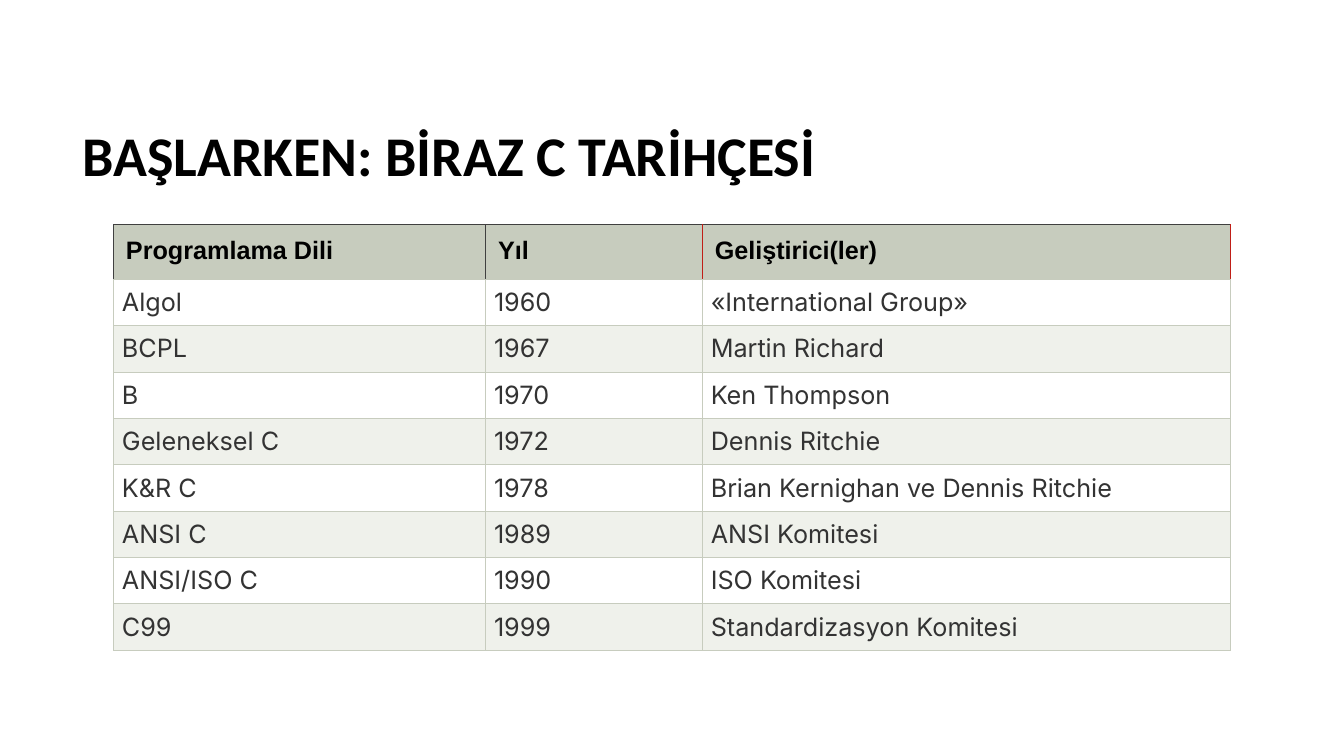
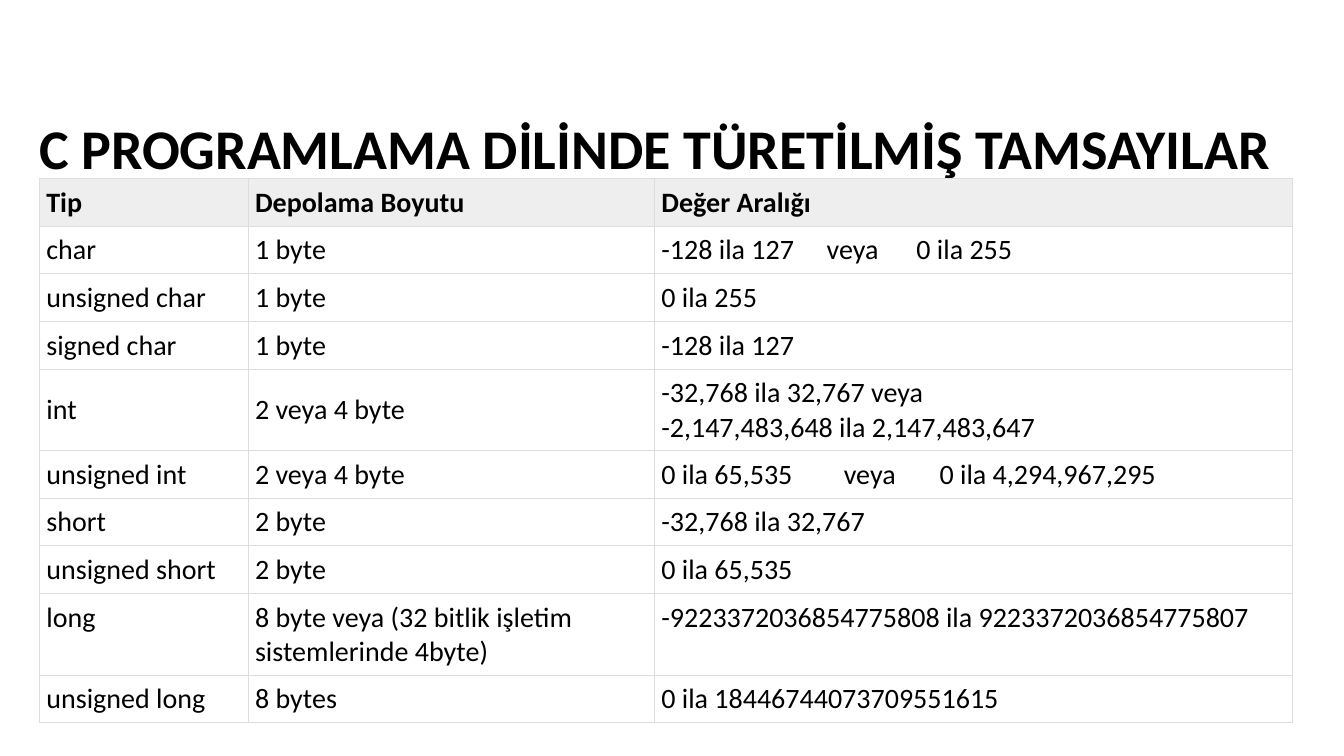
from dataclasses import dataclass

from lxml.etree import SubElement
from pptx import Presentation
from pptx.dml.color import RGBColor
from pptx.enum.text import MSO_ANCHOR, MSO_AUTO_SIZE, PP_ALIGN
from pptx.oxml.ns import qn
from pptx.slide import Slide
from pptx.table import _Cell
from pptx.text.text import _Paragraph
from pptx.util import Inches, Pt

COLORS = {
    "black": "000000",
    "white": "FFFFFF",
    "gray_text": "333333",
    "sage": "C7CCBE",
    "pale_sage": "EFF1EB",
    "red": "C01E17",
    "charcoal": "404040",
    "gray_line": "DDDDDD",
    "gray_fill": "EEEEEE",
}
TITLE_FONT = "Calibri"
TITLE_SIZE = 40
TITLE_HEIGHT = 0.77
BORDER_WIDTH = 0.75


@dataclass(frozen=True)
class TextStyle:
    font: str
    size: float
    color: str
    bold: bool = False
    align: PP_ALIGN = PP_ALIGN.LEFT


@dataclass(frozen=True)
class CellStyle:
    text: TextStyle
    inset: float
    fills: tuple[str | None, ...]


@dataclass(frozen=True)
class Row:
    cells: tuple[str, ...]
    height: float
    anchor: MSO_ANCHOR = MSO_ANCHOR.TOP
    tab_stops: tuple[float, ...] = ()


@dataclass(frozen=True)
class TableSpec:
    left: float
    top: float
    columns: tuple[float, ...]
    rows: tuple[Row, ...]
    header: CellStyle
    body: CellStyle
    border: str
    header_top: str
    header_verticals: tuple[str, ...]


@dataclass(frozen=True)
class SlideSpec:
    title: str
    left: float
    top: float
    width: float
    table: TableSpec


HISTORY = (
    ("Algol", "1960", "«International Group»"),
    ("BCPL", "1967", "Martin Richard"),
    ("B", "1970", "Ken Thompson"),
    ("Geleneksel C", "1972", "Dennis Ritchie"),
    ("K&R C", "1978", "Brian Kernighan ve Dennis Ritchie"),
    ("ANSI C", "1989", "ANSI Komitesi"),
    ("ANSI/ISO C", "1990", "ISO Komitesi"),
    ("C99", "1999", "Standardizasyon Komitesi"),
)

history_table = TableSpec(
    left=1.13,
    top=2.23,
    columns=(3.69, 2.15, 5.23),
    rows=(
        Row(("Programlama Dili", "Yıl", "Geliştirici(ler)"), 0.54),
        *(Row(cells, 0.46) for cells in HISTORY),
    ),
    header=CellStyle(TextStyle("Arial", 18, "black", bold=True), 0.12, ("sage",)),
    body=CellStyle(
        TextStyle("Inter", 18, "gray_text", align=PP_ALIGN.JUSTIFY),
        0.08,
        ("white", "pale_sage"),
    ),
    border="sage",
    header_top="charcoal",
    header_verticals=("charcoal", "charcoal", "red", "red"),
)

integer_table = TableSpec(
    left=0.39,
    top=1.77,
    columns=(2.07, 4.03, 6.33),
    rows=(
        Row(("Tip", "Depolama Boyutu", "Değer Aralığı"), 0.41),
        Row(("char", "1 byte", "-128 ila 127\tveya\t0 ila 255"), 0.41,
            tab_stops=(1.64, 2.53)),
        Row(("unsigned char", "1 byte", "0 ila 255"), 0.41),
        Row(("signed char", "1 byte", "-128 ila 127"), 0.41),
        Row(("int", "2 veya 4 byte",
             "-32,768 ila 32,767 veya\n-2,147,483,648 ila 2,147,483,647"),
            0.44, MSO_ANCHOR.MIDDLE),
        Row(("unsigned int", "2 veya 4 byte",
             "0 ila 65,535\tveya\t0 ila 4,294,967,295"), 0.41,
            tab_stops=(1.81, 2.76)),
        Row(("short", "2 byte", "-32,768 ila 32,767"), 0.41),
        Row(("unsigned short", "2 byte", "0 ila 65,535"), 0.41),
        Row(("long", "8 byte veya (32 bitlik işletim sistemlerinde 4byte)",
             "-9223372036854775808 ila 9223372036854775807"), 0.59),
        Row(("unsigned long", "8 bytes", "0 ila 18446744073709551615"), 0.41),
    ),
    header=CellStyle(TextStyle("Calibri", 20, "black", bold=True), 0.07, ("gray_fill",)),
    body=CellStyle(TextStyle("Calibri", 20, "black"), 0.07, (None,)),
    border="gray_line",
    header_top="gray_line",
    header_verticals=("gray_line",) * 4,
)

SLIDES = (
    SlideSpec("BAŞLARKEN: BİRAZ C TARİHÇESİ", 0.72, 1.15, 7.54, history_table),
    SlideSpec("C PROGRAMLAMA DİLİNDE TÜRETİLMİŞ TAMSAYILAR", 0.29, 1.08, 12.54,
              integer_table),
)


def rgb(name: str) -> RGBColor:
    return RGBColor.from_string(COLORS[name])


def add_run(paragraph: _Paragraph, text: str, style: TextStyle) -> None:
    paragraph.alignment = style.align
    run = paragraph.add_run()
    run.text = text
    run.font.name = style.font
    run.font.size = Pt(style.size)
    run.font.bold = style.bold
    run.font.color.rgb = rgb(style.color)


def set_tab_stops(paragraph: _Paragraph, stops: tuple[float, ...]) -> None:
    properties = paragraph._p.get_or_add_pPr()
    tab_list = SubElement(properties, qn("a:tabLst"))
    for stop in stops:
        SubElement(tab_list, qn("a:tab"), pos=str(Inches(stop)), algn="l")


def set_borders(cell: _Cell, left: str, right: str, top: str, bottom: str) -> None:
    properties = cell._tc.get_or_add_tcPr()
    for side, color in zip("LRTB", (left, right, top, bottom)):
        line = SubElement(properties, qn(f"a:ln{side}"), w=str(Pt(BORDER_WIDTH)))
        fill = SubElement(line, qn("a:solidFill"))
        SubElement(fill, qn("a:srgbClr"), val=COLORS[color])


def fill_cell(cell: _Cell, text: str, row: Row, style: CellStyle, fill: str | None) -> None:
    inset = Inches(style.inset)
    cell.margin_left = cell.margin_right = inset
    cell.margin_top = cell.margin_bottom = inset
    cell.vertical_anchor = row.anchor
    if fill is None:
        cell.fill.background()
    else:
        cell.fill.solid()
        cell.fill.fore_color.rgb = rgb(fill)
    frame = cell.text_frame
    for index, line in enumerate(text.split("\n")):
        paragraph = frame.add_paragraph() if index else frame.paragraphs[0]
        add_run(paragraph, line, style.text)
        if "\t" in line:
            set_tab_stops(paragraph, row.tab_stops)


def add_title(slide: Slide, spec: SlideSpec) -> None:
    shape = slide.shapes.add_textbox(
        Inches(spec.left), Inches(spec.top), Inches(spec.width), Inches(TITLE_HEIGHT)
    )
    frame = shape.text_frame
    frame.word_wrap = False
    frame.auto_size = MSO_AUTO_SIZE.SHAPE_TO_FIT_TEXT
    add_run(frame.paragraphs[0], spec.title,
            TextStyle(TITLE_FONT, TITLE_SIZE, "black", bold=True))


def add_styled_table(slide: Slide, spec: TableSpec) -> None:
    shape = slide.shapes.add_table(
        len(spec.rows), len(spec.columns),
        Inches(spec.left), Inches(spec.top),
        Inches(sum(spec.columns)), Inches(sum(row.height for row in spec.rows)),
    )
    table = shape.table
    table.first_row = table.horz_banding = False
    for column, width in zip(table.columns, spec.columns):
        column.width = Inches(width)
    for row_index, row in enumerate(spec.rows):
        table.rows[row_index].height = Inches(row.height)
        is_header = row_index == 0
        style = spec.header if is_header else spec.body
        verticals = spec.header_verticals if is_header else (spec.border,) * 4
        top = spec.header_top if is_header else spec.border
        fill = style.fills[(row_index - 1) % len(style.fills)]
        for column_index, text in enumerate(row.cells):
            cell = table.cell(row_index, column_index)
            set_borders(cell, verticals[column_index], verticals[column_index + 1],
                        top, spec.border)
            fill_cell(cell, text, row, style, fill)


def main() -> None:
    presentation = Presentation()
    presentation.slide_width = Inches(13.33)
    presentation.slide_height = Inches(7.5)
    blank_layout = presentation.slide_layouts[6]
    for spec in SLIDES:
        slide = presentation.slides.add_slide(blank_layout)
        add_title(slide, spec)
        add_styled_table(slide, spec.table)
    presentation.save("out.pptx")


if __name__ == "__main__":
    main()
